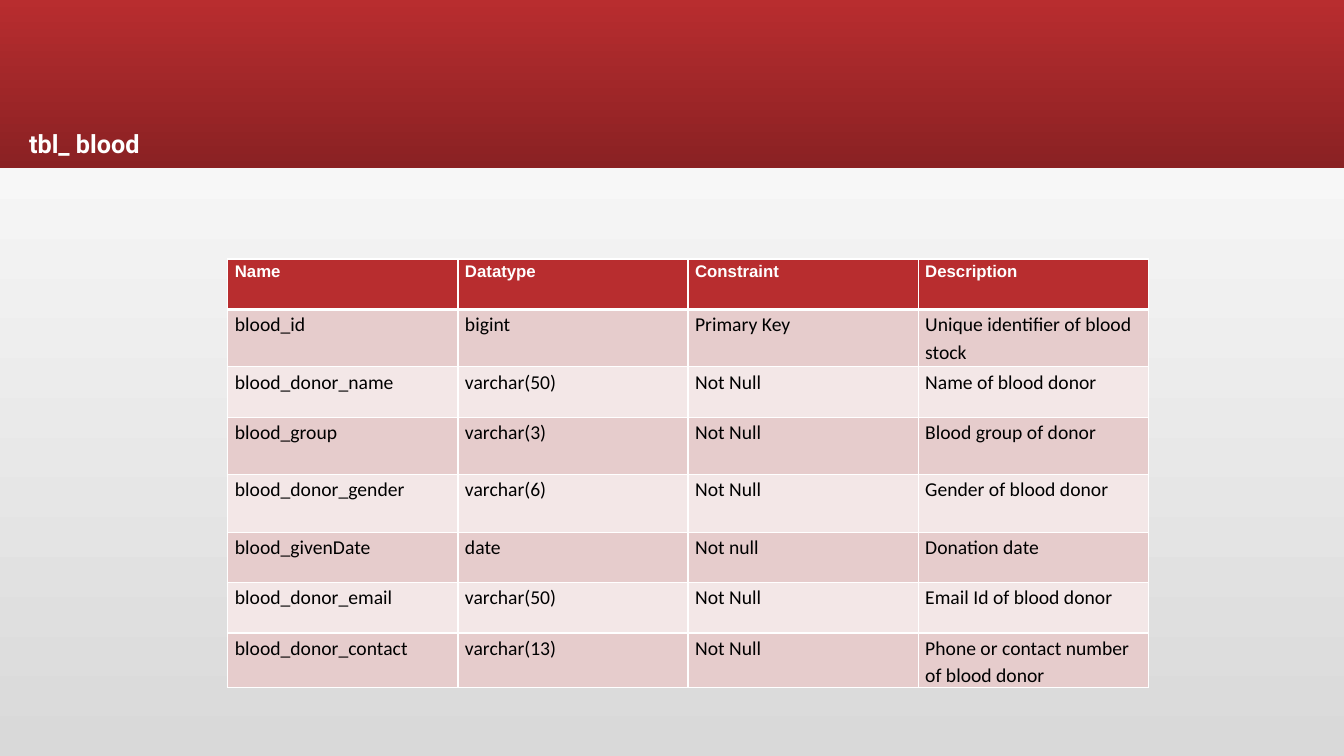
from lxml import etree
from pptx import Presentation
from pptx.dml.color import RGBColor
from pptx.enum import shapes
from pptx.oxml import ns
from pptx.util import Inches, Pt

TITLE = "tbl_ blood"
ROWS = [
    ("Name", "Datatype", "Constraint", "Description"),
    ("blood_id", "bigint", "Primary Key", "Unique identifier of blood stock"),
    ("blood_donor_name", "varchar(50)", "Not Null", "Name of blood donor"),
    ("blood_group", "varchar(3)", "Not Null", "Blood group of donor"),
    ("blood_donor_gender", "varchar(6)", "Not Null", "Gender of blood donor"),
    ("blood_givenDate", "date", "Not null", "Donation date"),
    ("blood_donor_email", "varchar(50)", "Not Null", "Email Id of blood donor"),
    ("blood_donor_contact", "varchar(13)", "Not Null",
     "Phone or contact number of blood donor"),
]
HEIGHTS = [0.5, 0.57, 0.5, 0.57, 0.57, 0.5, 0.5, 0.5]
COLORS = {"red": "B82D2F", "dark": "8A2123", "white": "FFFFFF", "black": "000000",
          "gray": "D9D9D9", "rose": "E6CCCC", "pale": "F3E7E7"}
FONTS = {
    "title": {"name": "Roboto", "size": Pt(18), "bold": True},
    "head": {"name": "Arial", "size": Pt(12), "bold": True},
    "body": {"name": "Calibri", "size": Pt(14), "bold": False},
}
INSETS = {"margin_left": Inches(0.07), "margin_right": Inches(0.07),
          "margin_top": 0, "margin_bottom": 0}


def assign(item, values):
    for key, value in values.items():
        setattr(item, key, value)


def color(name):
    return RGBColor.from_string(COLORS[name])


def blend(fill, names, angle):
    fill.gradient()
    fill.gradient_angle = angle
    for stop, name in zip(fill.gradient_stops, names):
        stop.color.rgb = color(name)


def write(frame, words, style, tint, spacing):
    para = frame.paragraphs[0]
    para.line_spacing = spacing
    run = para.add_run()
    run.text = words
    assign(run.font, FONTS[style])
    run.font.color.rgb = color(tint)
    return para


def border(cell, base):
    props = cell._tc.get_or_add_tcPr()
    for spot, side in enumerate("LRTB"):
        width = base if side == "B" else 1
        line = etree.Element(ns.qn(f"a:ln{side}"), w=str(Pt(width)))
        solid = etree.SubElement(line, ns.qn("a:solidFill"))
        etree.SubElement(solid, ns.qn("a:srgbClr"), val=COLORS["white"])
        props.insert(spot, line)


def add_band(slide, width):
    band = slide.shapes.add_shape(
        shapes.MSO_SHAPE.RECTANGLE, 0, 0, width, Inches(1.67))
    band.shadow.inherit = False
    band.line.fill.background()
    blend(band.fill, ("red", "dark"), 270)


def add_grid(slide):
    table = slide.shapes.add_table(
        len(ROWS), len(ROWS[0]), Inches(2.26), Inches(2.57),
        Inches(9.13), Inches(sum(HEIGHTS))).table
    assign(table, {"first_row": False, "horz_banding": False})
    for r, (row, height) in enumerate(zip(ROWS, HEIGHTS)):
        table.rows[r].height = Inches(height)
        head = r == 0
        shade = "red" if head else ("pale", "rose")[r % 2]
        style, tint = ("head", "white") if head else ("body", "black")
        for c, words in enumerate(row):
            cell = table.cell(r, c)
            assign(cell, INSETS)
            cell.fill.solid()
            cell.fill.fore_color.rgb = color(shade)
            border(cell, 3 if head else 1)
            write(cell.text_frame, words, style, tint, 1.15)


def add_title(slide):
    box = slide.shapes.add_textbox(
        Inches(-0.81), Inches(1.31), Inches(3.31), Inches(0.85))
    box.text_frame.word_wrap = True
    para = write(box.text_frame, TITLE, "title", "white", 0.67)
    para.level = 2
    para._p.get_or_add_pPr().set("marL", str(Inches(1)))


def main():
    deck = Presentation()
    assign(deck, {"slide_width": Inches(13.33), "slide_height": Inches(7.5)})
    slide = deck.slides.add_slide(deck.slide_layouts[6])
    blend(slide.background.fill, ("gray", "white"), 90)
    add_band(slide, deck.slide_width)
    add_grid(slide)
    add_title(slide)
    deck.save("out.pptx")


if __name__ == "__main__":
    main()
